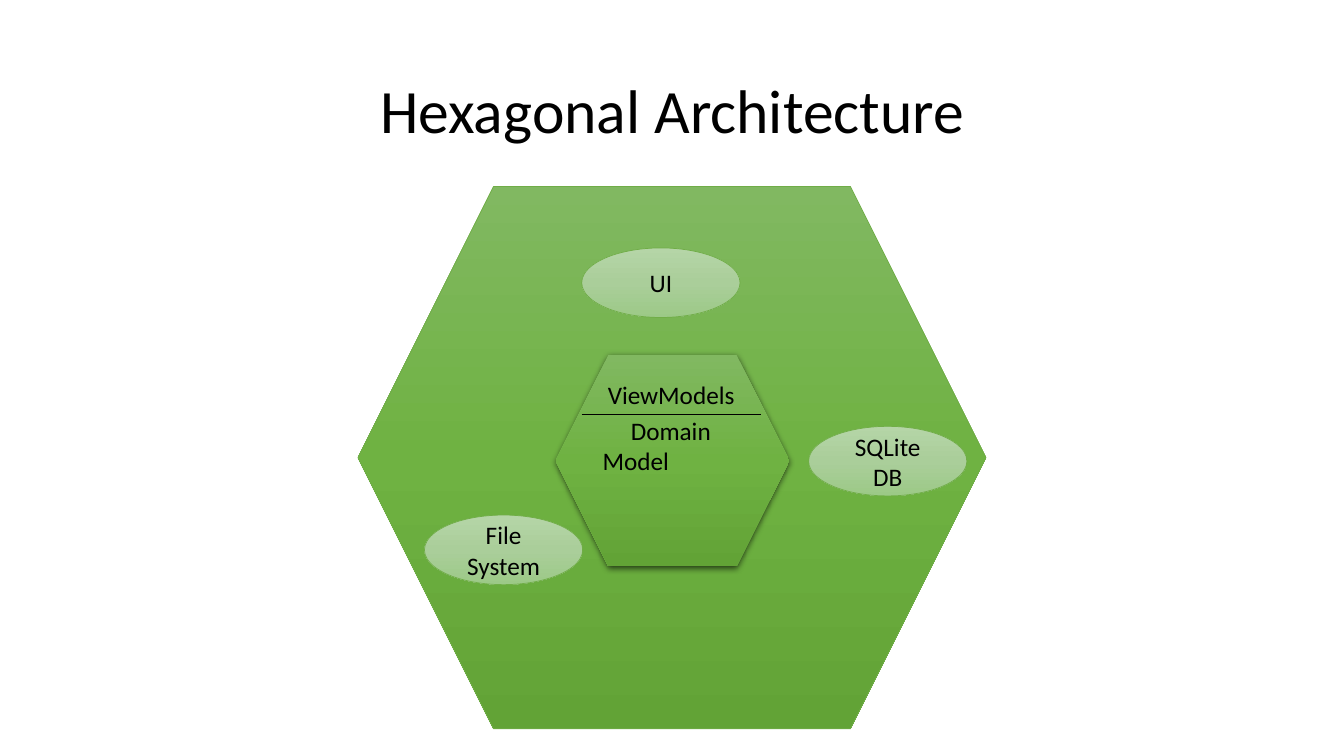
from copy import deepcopy

from lxml import etree
from pptx import Presentation
from pptx.dml.color import RGBColor
from pptx.enum.shapes import MSO_CONNECTOR, MSO_SHAPE
from pptx.enum.text import MSO_ANCHOR, MSO_AUTO_SIZE, PP_ALIGN
from pptx.oxml.ns import qn
from pptx.util import Pt

HEXAGON, OVAL = MSO_SHAPE.HEXAGON, MSO_SHAPE.OVAL
STRAIGHT = MSO_CONNECTOR.STRAIGHT
TOP, MIDDLE = MSO_ANCHOR.TOP, MSO_ANCHOR.MIDDLE
LEFT, CENTER = PP_ALIGN.LEFT, PP_ALIGN.CENTER
FIT_SHAPE = MSO_AUTO_SIZE.SHAPE_TO_FIT_TEXT

PX = 9144  # 100 px to the inch
COLORS = {
    "text": "000000",
    "shadow": "000000",
    "outline": "70AD47",
    "core": ("81B861", "6FB242", "62A336"),
    "adapter": ("B5D5A7", "AACE9A", "9CC987"),
}


def px(*lengths):
    return [length * PX for length in lengths]


def rgb(name):
    return RGBColor.from_string(COLORS[name])


class Canvas:
    font = "Calibri"
    body_size = 18
    line_width = 0.5

    def __init__(self, page):
        self.page = page

    def label(self, shape, lines, size=body_size, align=CENTER, anchor=MIDDLE):
        frame = shape.text_frame
        frame.text = "\n".join(lines)
        frame.word_wrap = True
        frame.vertical_anchor = anchor
        for para in frame.paragraphs:
            para.alignment = align
            para.font.name = self.font
            para.font.size = Pt(size)
            para.font.color.rgb = rgb("text")
        return frame

    def text(self, place, line, **style):
        box = self.page.shapes.add_textbox(*px(*place))
        return self.label(box, [line], **style)

    def shape(self, kind, place, shades, outlined=True):
        shape = self.page.shapes.add_shape(kind, *px(*place))
        shape.shadow.inherit = False
        self.gradient(shape, COLORS[shades])
        if outlined:
            shape.line.color.rgb = rgb("outline")
            shape.line.width = Pt(self.line_width)
        else:
            shape.line.fill.background()
        return shape

    def gradient(self, shape, shades):
        shape.fill.gradient()
        shape.fill.gradient_angle = 270
        stops = shape._element.spPr.find(".//" + qn("a:gsLst"))
        stops.insert(1, deepcopy(stops[0]))
        for index, stop in enumerate(shape.fill.gradient_stops):
            stop.position = index / 2
            stop.color.rgb = RGBColor.from_string(shades[index])

    def drop_shadow(self, shape):
        effects = shape._element.spPr.find(qn("a:effectLst"))
        shadow = etree.SubElement(
            effects, qn("a:outerShdw"), blurRad=str(Pt(4.5)), dist=str(Pt(1.5)),
            dir="5400000", algn="ctr", rotWithShape="0")
        color = etree.SubElement(shadow, qn("a:srgbClr"), val=COLORS["shadow"])
        etree.SubElement(color, qn("a:alpha"), val="63000")

    def line(self, start, end):
        line = self.page.shapes.add_connector(STRAIGHT, *px(*start, *end))
        line.line.color.rgb = rgb("text")
        line.line.width = Pt(self.line_width)
        etree.SubElement(line._element.spPr, qn("a:effectLst"))


def main():
    deck = Presentation()
    deck.slide_width, deck.slide_height = px(1333, 750)
    canvas = Canvas(deck.slides.add_slide(deck.slide_layouts[6]))

    # Title
    title = canvas.text((92, 40, 1150, 145), "Hexagonal Architecture", size=44)
    title.paragraphs[0].line_spacing = 0.9

    # Outer hexagon and the domain core
    canvas.shape(HEXAGON, (355, 185, 623, 538), "core")
    core = canvas.shape(HEXAGON, (551, 352, 232, 210), "core", outlined=False)
    canvas.drop_shadow(core)
    domain = canvas.label(core, ["Domain Model"], align=LEFT)
    domain.margin_bottom = 35 * PX
    domain.paragraphs[0]._p.get_or_add_pPr().set("indent", str(28 * PX))

    # View models above the dividing line
    canvas.line((577, 411), (755, 411))
    models = canvas.text((593, 371, 147, 40), "ViewModels", align=LEFT, anchor=TOP)
    models.word_wrap = False
    models.auto_size = FIT_SHAPE

    # Adapters
    for left, top, lines in (
        (577, 246, ["UI"]),
        (421, 511, ["File System"]),
        (802, 423, ["SQLite", "DB"]),
    ):
        adapter = canvas.shape(OVAL, (left, top, 157, 69), "adapter")
        canvas.label(adapter, lines)

    deck.save("out.pptx")


if __name__ == "__main__":
    main()
